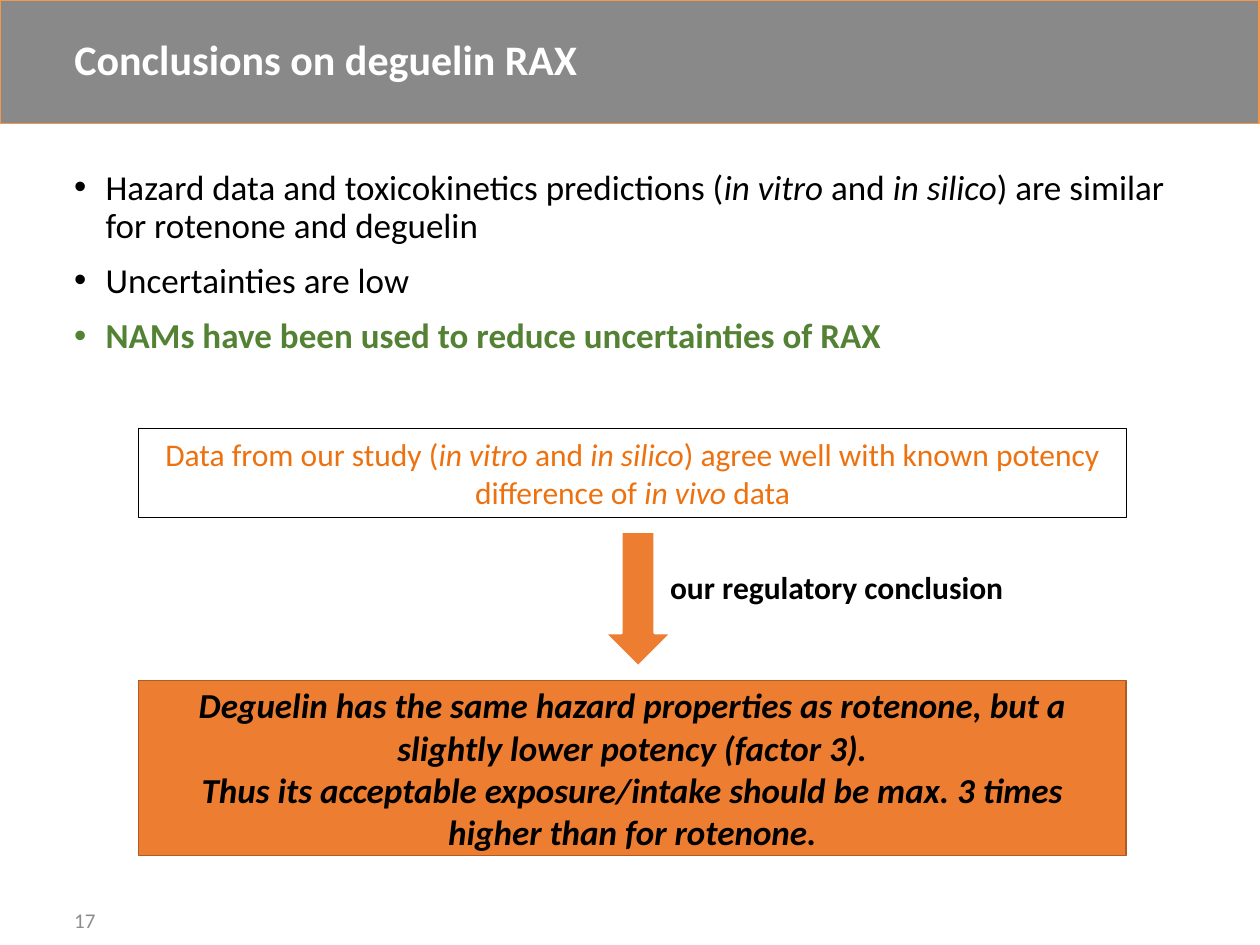
from pptx import Presentation
from pptx.dml.color import RGBColor as RGB
from pptx.enum.shapes import MSO_SHAPE as Kind
from pptx.enum.text import MSO_ANCHOR as Anchor, PP_ALIGN as Align
from pptx.oxml.ns import qn
from pptx.util import Inches, Pt
from lxml.etree import SubElement

BLACK = RGB(0x00, 0x00, 0x00)
WHITE = RGB(0xFF, 0xFF, 0xFF)
GREY = RGB(0x8A, 0x89, 0x89)
PALE = RGB(0x8C, 0x8C, 0x8C)
GREEN = RGB(0x54, 0x82, 0x35)
ORANGE = RGB(0xED, 0x7D, 0x31)
AMBER = RGB(0xF1, 0x98, 0x50)
RUST = RGB(0xAF, 0x5C, 0x24)
FLAME = RGB(0xED, 0x71, 0x0E)

TITLE = "Conclusions on deguelin RAX"
POINTS = [
    ("Hazard data and toxicokinetics predictions (*in vitro* and *in silico*) "
     "are similar for rotenone and deguelin", BLACK, False),
    ("Uncertainties are low", BLACK, False),
    ("NAMs have been used to reduce uncertainties of RAX", GREEN, True),
]
DATA = ("Data from our study (*in vitro* and *in silico*) agree well with "
        "known potency difference of *in vivo *data")
STEP = "our regulatory conclusion"
RESULT = [
    "*Deguelin has the same hazard properties as rotenone, but a slightly "
    "lower potency (factor 3).*",
    "*Thus its acceptable exposure/intake should be max. 3 times higher "
    "than for rotenone.*",
]
PAGE = "17"

LEFT, WIDE = 0.49, 9.05
BOX, SPAN = 1.1, 7.84
HEAD = 0.98


def write(par, text, size=20, color=BLACK, bold=False, align=Align.LEFT,
          line=None, before=0, bullet=False):
    par.alignment = align
    par.space_before = Pt(before)
    if line:
        par.line_spacing = line
    if bullet:
        props = par._p.get_or_add_pPr()
        props.set("marL", str(Inches(0.25)))
        props.set("indent", str(-Inches(0.25)))
        SubElement(props, qn("a:buFont")).set("typeface", "Arial")
        SubElement(props, qn("a:buChar")).set("char", "•")
    for i, part in enumerate(text.split("*")):
        if part:
            run = par.add_run()
            run.text = part
            font = run.font
            font.name, font.size = "Calibri", Pt(size)
            font.bold, font.italic = bold, i % 2 == 1
            font.color.rgb = color


def shape(kind, spot, fill, edge, width):
    item = slide.shapes.add_shape(kind, *map(Inches, spot))
    item.shadow.inherit = False
    if fill is None:
        item.fill.background()
    else:
        item.fill.solid()
        item.fill.fore_color.rgb = fill
    item.line.color.rgb = edge
    item.line.width = Pt(width)
    item.text_frame.vertical_anchor = Anchor.MIDDLE
    return item


def label(spot, wrap=True, anchor=Anchor.TOP):
    frame = slide.shapes.add_textbox(*map(Inches, spot)).text_frame
    frame.word_wrap, frame.vertical_anchor = wrap, anchor
    return frame


def fill_in(frame, texts, **form):
    for i, text in enumerate(texts):
        par = frame.add_paragraph() if i else frame.paragraphs[0]
        write(par, text, **form)


deck = Presentation()
deck.slide_width, deck.slide_height = Inches(10), Inches(7.5)
slide = deck.slides.add_slide(deck.slide_layouts[5])

band = shape(Kind.RECTANGLE, (0, 0, 9.99, HEAD), GREY, AMBER, 1)
slide.shapes._spTree.insert(2, band._element)

title = slide.shapes.title
title.left, title.top, title.width, title.height = map(
    Inches, (LEFT, 0, WIDE, HEAD))
title.text_frame.vertical_anchor = Anchor.MIDDLE
fill_in(title.text_frame, [TITLE], size=24, color=WHITE, bold=True, line=0.9)

body = label((LEFT, 1.3, WIDE, 1.88))
for i, (text, color, bold) in enumerate(POINTS):
    par = body.add_paragraph() if i else body.paragraphs[0]
    write(par, text, color=color, bold=bold, line=0.9,
          before=10 if i else 0, bullet=True)

page = label((LEFT, 7.1, 1.45, 0.4), anchor=Anchor.MIDDLE)
fill_in(page, [PAGE], size=12, color=PALE)

result = shape(Kind.RECTANGLE, (BOX, 5.4, SPAN, 1.39), ORANGE, RUST, 1)
fill_in(result.text_frame, RESULT, bold=True, align=Align.CENTER)

data = shape(Kind.RECTANGLE, (BOX, 3.4, SPAN, 0.71), None, BLACK, 0.75)
fill_in(data.text_frame, [DATA], size=18, color=FLAME, align=Align.CENTER)

shape(Kind.DOWN_ARROW, (4.8, 4.22, 0.53, 1.07), ORANGE, WHITE, 1.5)

step = label((5.22, 4.46, 2.86, 0.4), wrap=False)
fill_in(step, [STEP], size=18, bold=True)

deck.save("out.pptx")
